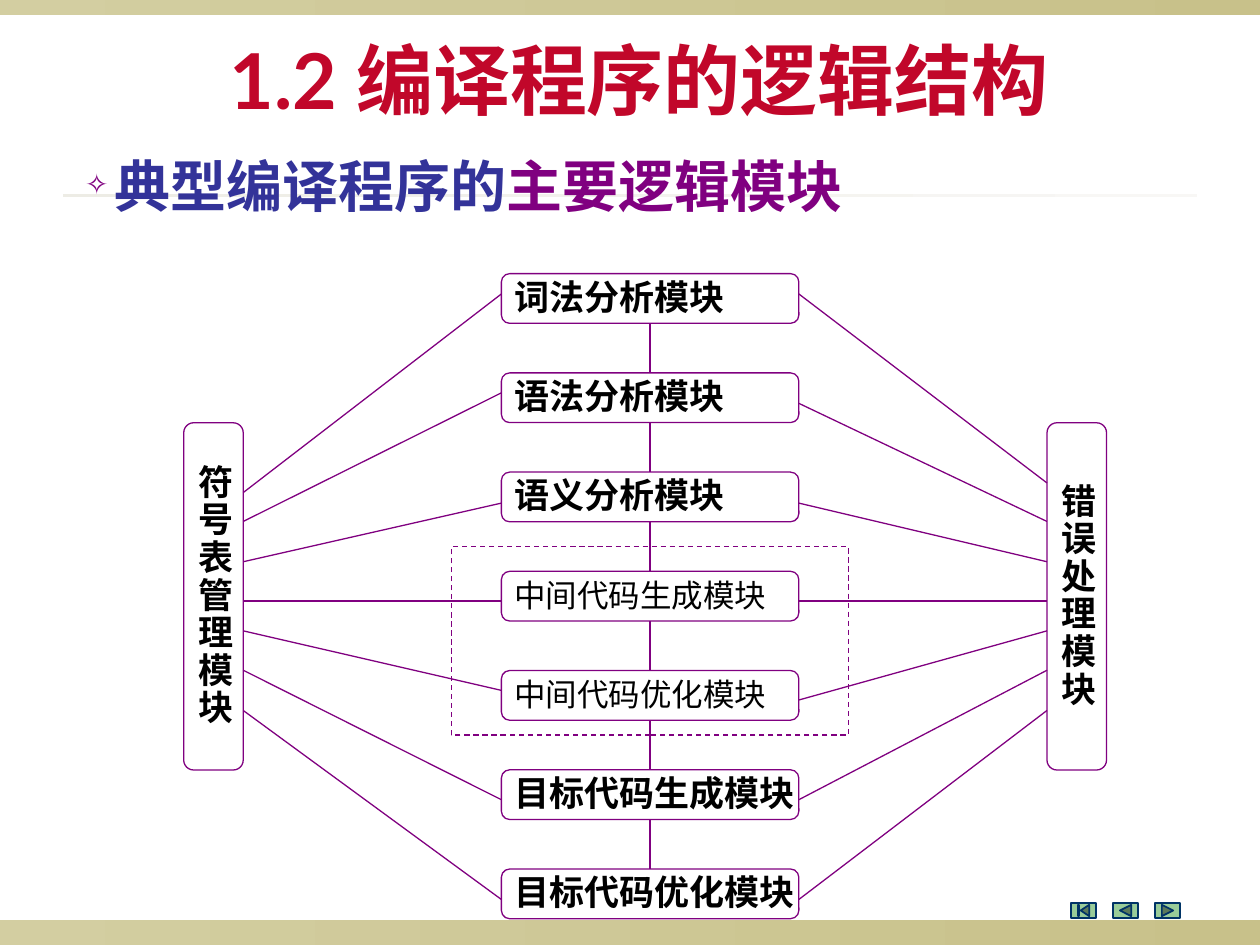
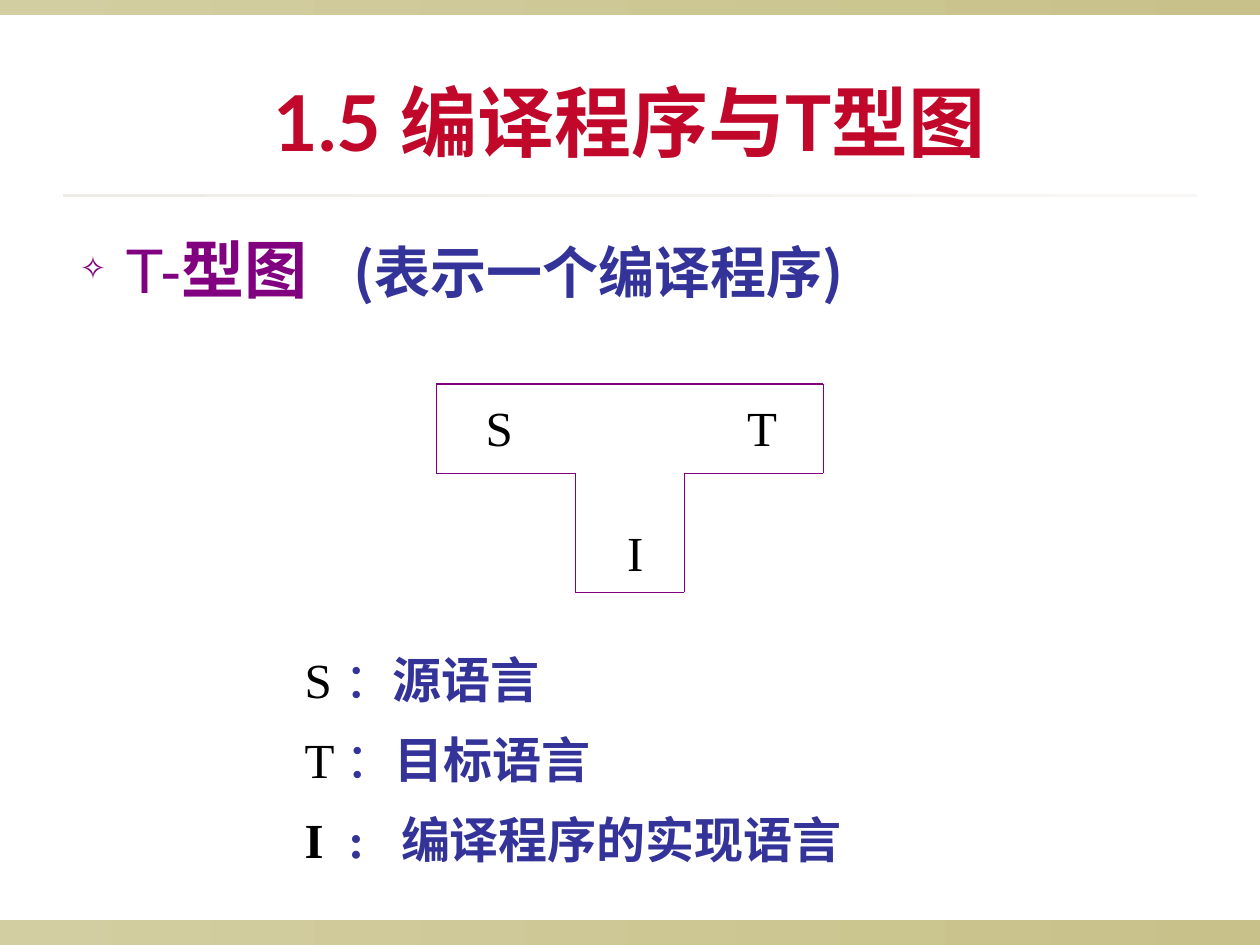
from lxml.etree import SubElement
from pptx import Presentation
from pptx.dml.color import RGBColor
from pptx.enum.dml import MSO_LINE
from pptx.enum.lang import MSO_LANGUAGE_ID as LANG
from pptx.enum.shapes import MSO_CONNECTOR, MSO_SHAPE
from pptx.enum.text import MSO_ANCHOR, MSO_AUTO_SIZE, PP_ALIGN
from pptx.oxml.ns import qn
from pptx.util import Pt

COLORS = {
    "title": "C1072A", "blue": "333399", "purple": "800080",
    "black": "000000", "white": "FFFFFF",
    "band_left": "D3CEA1", "band_right": "C8C18A",
    "rule_left": "EDECE5", "rule_right": "F8F7F5",
    "button": "99CC99", "button_line": "003366",
}
RGB = {name: RGBColor.from_string(value) for name, value in COLORS.items()}
SERIF, CJK = "Times New Roman", "Noto Sans CJK SC"
THIN = 0.74


def style(font, size, color, bold=False, name=SERIF):
    font.size, font.bold, font.name = Pt(size), bold, name
    font.color.rgb = RGB[color]
    font.language_id = LANG.SIMPLIFIED_CHINESE


def outline(shape, fill=None, line="purple", width=THIN):
    shape.shadow.inherit = False
    if fill:
        shape.fill.solid()
        shape.fill.fore_color.rgb = RGB[fill]
    else:
        shape.fill.background()
    shape.line.color.rgb = RGB[line]
    shape.line.width = Pt(width)
    return shape


prs = Presentation()
prs.slide_width, prs.slide_height = Pt(720), Pt(540)
layout = prs.slide_layouts[1]

pages = [
    {"title": "1.2 编译程序的逻辑结构", "title_box": (41.5, 0, 648, 90),
     "topic_box": (41.5, 82.8, 648, 51), "indent": 16.5, "leading": 38.5,
     "topic": [("典型编译程序的", 32, "blue", True, "Arial"),
               ("主要逻辑模块", 32, "purple", True, "Arial")]},
    {"title": "1.5 编译程序与T型图", "title_box": (54, 24, 612, 90),
     "topic_box": (38.5, 128, 642, 62.5), "indent": 26, "leading": 43.5,
     "topic": [("T-", 36, "purple", False, "Arial"),
               ("型图\u2002 ", 36, "purple", True, CJK),
               ("(", 32, "blue", True, CJK),
               ("表示一个编译程序", 32, "blue", True, "Arial"),
               (")", 32, "blue", True, CJK)]},
]
slides = []
for page in pages:
    slide = prs.slides.add_slide(layout)
    slides.append(slide)
    title, topic = slide.placeholders
    for holder, box in ((title, page["title_box"]), (topic, page["topic_box"])):
        holder.left, holder.top, holder.width, holder.height = map(Pt, box)
        holder.text_frame.auto_size = MSO_AUTO_SIZE.NONE
    title.text_frame.vertical_anchor = MSO_ANCHOR.MIDDLE
    heading = title.text_frame.paragraphs[0]
    heading.text = page["title"]
    heading.alignment = PP_ALIGN.CENTER
    style(heading.font, 44, "title", True, "Lato")

    bullet_line = topic.text_frame.paragraphs[0]
    bullet_line.line_spacing = Pt(page["leading"])
    bullet_line.space_before = Pt(0)
    props = bullet_line._p.get_or_add_pPr()
    props.set("marL", str(Pt(page["indent"])))
    props.set("indent", str(-Pt(page["indent"])))
    SubElement(SubElement(props, qn("a:buClr")), qn("a:srgbClr"), val=COLORS["purple"])
    SubElement(props, qn("a:buSzPct"), val="50000")
    SubElement(props, qn("a:buChar"), char="✧")
    for text, size, color, bold, name in page["topic"]:
        run = bullet_line.add_run()
        run.text = text
        style(run.font, size, color, bold, name)

structure, diagram = slides

for left, top, width, height, tone in (
    (0, 525.6, 720, 14.4, "band"), (0, 0, 720, 8.6, "band"), (36, 110.9, 648, 1.6, "rule"),
):
    band = structure.shapes.add_shape(
        MSO_SHAPE.RECTANGLE, Pt(left), Pt(top), Pt(width), Pt(height))
    band.shadow.inherit = False
    band.line.fill.background()
    band.fill.gradient()
    band.fill.gradient_angle = 0
    for stop, side in zip(band.fill.gradient_stops, ("left", "right")):
        stop.color.rgb = RGB[f"{tone}_{side}"]
    layout.shapes.element.append(band.element)

buttons = (MSO_SHAPE.ACTION_BUTTON_BEGINNING, MSO_SHAPE.ACTION_BUTTON_BACK_OR_PREVIOUS,
           MSO_SHAPE.ACTION_BUTTON_FORWARD_OR_NEXT)
for i, kind in enumerate(buttons):
    button = structure.shapes.add_shape(kind, Pt(612 + 24 * i), Pt(516), Pt(14.4), Pt(8.6))
    outline(button, "button", "button_line", 1)

MODULE_LEFT, MODULE_WIDTH, MODULE_HEIGHT = 286.5, 170, 28.4
MODULE_RIGHT = MODULE_LEFT + MODULE_WIDTH
FIRST_TOP, PITCH = 156.4, 56.7
PANEL_TOP, PANEL_WIDTH, PANEL_HEIGHT = 241.6, 34, 198.4
SYMBOLS_LEFT, ERRORS_LEFT = 105, 598.3
modules = [("词法分析模块", True), ("语法分析模块", True), ("语义分析模块", True),
           ("中间代码生成模块", False), ("中间代码优化模块", False),
           ("目标代码生成模块", True), ("目标代码优化模块", True)]

boxes = [([name], MODULE_LEFT, FIRST_TOP + PITCH * i, MODULE_WIDTH, MODULE_HEIGHT, bold,
          PP_ALIGN.LEFT, 0) for i, (name, bold) in enumerate(modules)]
boxes += [(list(name), left, PANEL_TOP, PANEL_WIDTH, PANEL_HEIGHT, True, PP_ALIGN.CENTER, 3)
          for name, left in (("符号表管理模块", SYMBOLS_LEFT), ("错误处理模块", ERRORS_LEFT))]
for lines, left, top, width, height, bold, align, right_inset in boxes:
    box = structure.shapes.add_shape(
        MSO_SHAPE.ROUNDED_RECTANGLE, Pt(left), Pt(top), Pt(width), Pt(height))
    outline(box, "white")
    frame = box.text_frame
    frame.word_wrap = True
    frame.vertical_anchor = MSO_ANCHOR.MIDDLE
    frame.margin_left, frame.margin_right = Pt(6), Pt(right_inset)
    for i, text in enumerate(lines):
        label = frame.add_paragraph() if i else frame.paragraphs[0]
        label.text = text
        label.alignment = align
        label.line_spacing = Pt(21.5 if bold else 20)
        style(label.font, 20 if bold else 18, "black", bold)

center = MODULE_LEFT + MODULE_WIDTH / 2
links = [(center, FIRST_TOP + PITCH * i + MODULE_HEIGHT, center, FIRST_TOP + PITCH * (i + 1))
         for i in range(len(modules) - 1)]
symbol_ends = [281.5, 298, 321, 343.5, 360.5, 383, 406]
error_ends = [276] + symbol_ends[1:]
left_ends = [168, 224.5, 287.5, 343.5, 394.5, 457, 514]
right_ends = [168, 230.5, 287.5, 343.5, 400, 457, 514]
links += [(SYMBOLS_LEFT + PANEL_WIDTH, a, MODULE_LEFT, b)
          for a, b in zip(symbol_ends, left_ends)]
links += [(MODULE_RIGHT, a, ERRORS_LEFT, b) for a, b in zip(right_ends, error_ends)]

t_corners = [(249.3, 219.5), (470.5, 219.5), (470.5, 270.5), (391, 270.5),
             (391, 338.5), (328.8, 338.5), (328.8, 270.5), (249.3, 270.5)]
t_sides = [start + end for start, end in zip(t_corners, t_corners[1:] + t_corners[:1])]

for slide, segments in ((structure, links), (diagram, t_sides)):
    for ends in segments:
        segment = slide.shapes.add_connector(MSO_CONNECTOR.STRAIGHT, *map(Pt, ends))
        segment.line.color.rgb = RGB["purple"]
        segment.line.width = Pt(THIN)
        SubElement(segment.element.spPr, qn("a:effectLst"))

optional_part = structure.shapes.add_shape(
    MSO_SHAPE.RECTANGLE, Pt(258), Pt(312.5), Pt(227), Pt(107.5))
outline(optional_part).line.dash_style = MSO_LINE.DASH

for letter, x, y in (("S", 285.3, 244), ("T", 435.5, 244), ("I", 363, 315.5)):
    corner = diagram.shapes.add_textbox(Pt(x - 25), Pt(y - 18.5), Pt(50), Pt(37))
    corner.text_frame.word_wrap = True
    corner.text_frame.vertical_anchor = MSO_ANCHOR.MIDDLE
    symbol = corner.text_frame.paragraphs[0]
    symbol.text = letter
    symbol.alignment = PP_ALIGN.CENTER
    style(symbol.font, 28, "black")

legend = diagram.shapes.add_textbox(Pt(167), Pt(367.2), Pt(380), Pt(132.5)).text_frame
legend.word_wrap = True
entries = [
    [("S ", "black", False), ("：", "blue", False), ("源语言", "blue", True)],
    [("T ", "black", False), ("：", "blue", False), ("目标语言", "blue", True)],
    [("I\u2002", "black", True), (":\u2002 编译程序的实现语言", "blue", True)],
]
for i, entry in enumerate(entries):
    meaning = legend.add_paragraph() if i else legend.paragraphs[0]
    meaning.line_spacing = Pt(34)
    meaning.space_before = Pt(11.7 if i else 0)
    for text, color, bold in entry:
        run = meaning.add_run()
        run.text = text
        style(run.font, 28, color, bold)

prs.save("out.pptx")
